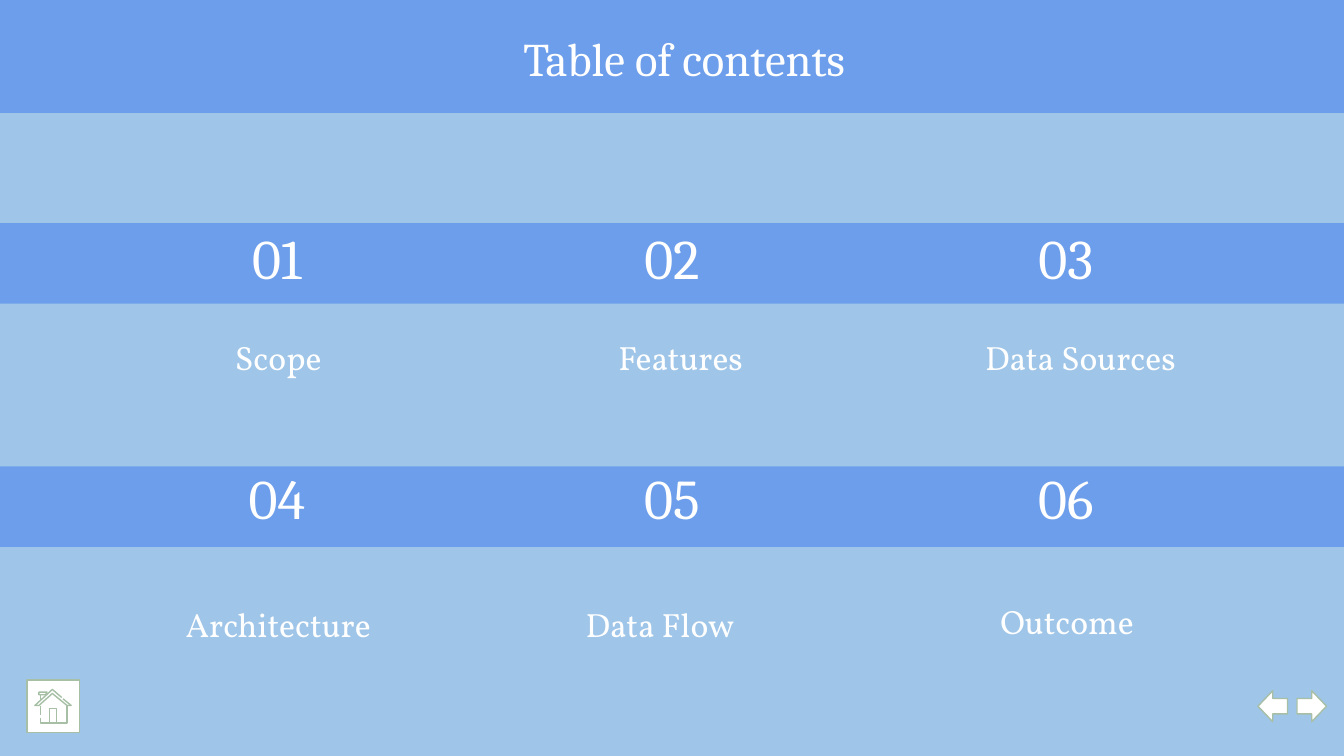
from dataclasses import dataclass

from pptx import Presentation
from pptx.dml.color import RGBColor
from pptx.enum.shapes import MSO_SHAPE
from pptx.enum.text import MSO_ANCHOR, MSO_AUTO_SIZE, PP_ALIGN
from pptx.shapes.autoshape import Shape
from pptx.slide import Slide
from pptx.util import Inches, Pt


@dataclass(frozen=True)
class Theme:
    background: RGBColor = RGBColor(0x9F, 0xC5, 0xE8)
    band: RGBColor = RGBColor(0x6D, 0x9E, 0xEB)
    white: RGBColor = RGBColor(0xFF, 0xFF, 0xFF)
    outline: RGBColor = RGBColor(0xA6, 0xBF, 0xA5)
    heading_font: str = "Cambria"
    body_font: str = "Vollkorn"
    title_size: float = 25
    number_size: float = 30
    topic_size: float = 18
    line_width: float = 0.75


@dataclass(frozen=True)
class Area:
    left: float
    top: float
    width: float
    height: float

    def lengths(self) -> tuple:
        return tuple(Inches(value) for value in (self.left, self.top, self.width, self.height))


@dataclass(frozen=True)
class Topic:
    name: str
    left: float
    top: float
    width: float = 2.56


@dataclass(frozen=True)
class Stroke:
    points: tuple
    closed: bool = False

    def lengths(self) -> list:
        return [(Inches(x), Inches(y)) for x, y in self.points]


THEME = Theme()
BANDS = (Area(0, 1.66, 10, 0.6), Area(0, 3.47, 10, 0.6), Area(-0.05, -0.06, 10.11, 0.9))
NUMBER_LEFTS = (1.49, 4.43, 7.36)
NUMBER_TOPS = (1.6, 3.39)
TOPICS = (
    Topic("Scope", 0.79, 2.4),
    Topic("Features", 3.63, 2.4, 2.87),
    Topic("Data Sources", 6.76, 2.4),
    Topic("Architecture", 0.79, 4.38),
    Topic("Data Flow", 3.63, 4.38),
    Topic("Outcome", 6.66, 4.36),
)
ARROWS = ((MSO_SHAPE.LEFT_ARROW, 9.36), (MSO_SHAPE.RIGHT_ARROW, 9.65))
HOUSE = (
    Stroke(((0.46, 5.19), (0.39, 5.13), (0.26, 5.25), (0.29, 5.25),
            (0.39, 5.16), (0.5, 5.25), (0.53, 5.25), (0.47, 5.2))),
    Stroke(((0.3, 5.21), (0.3, 5.17), (0.33, 5.17))),
    Stroke(((0.29, 5.15), (0.35, 5.15), (0.34, 5.17), (0.29, 5.17)), True),
    Stroke(((0.3, 5.25), (0.3, 5.32))),
    Stroke(((0.3, 5.34), (0.3, 5.38), (0.5, 5.38), (0.5, 5.25))),
    Stroke(((0.37, 5.38), (0.37, 5.27), (0.42, 5.27), (0.42, 5.38))),
)


def add_block(page: Slide, kind: MSO_SHAPE, area: Area, fill: RGBColor, outlined: bool) -> None:
    """Draw a filled preset shape with or without the theme outline."""
    block = page.shapes.add_shape(kind, *area.lengths())
    block.shadow.inherit = False
    block.fill.solid()
    block.fill.fore_color.rgb = fill
    if outlined:
        outline(block)
    else:
        block.line.fill.background()


def outline(shape: Shape) -> None:
    """Give a shape the theme outline."""
    shape.line.color.rgb = THEME.outline
    shape.line.width = Pt(THEME.line_width)


def write(box: Shape, text: str, font: str, size: float, anchor: MSO_ANCHOR) -> None:
    """Put one centred white line of text in a box."""
    frame = box.text_frame
    frame.text = text
    frame.word_wrap = True
    frame.auto_size = MSO_AUTO_SIZE.NONE
    frame.vertical_anchor = anchor
    frame.margin_left = frame.margin_right = Inches(0.1)
    frame.margin_top = frame.margin_bottom = Inches(0.1)
    para = frame.paragraphs[0]
    para.alignment = PP_ALIGN.CENTER
    span = para.runs[0]
    span.font.name = font
    span.font.size = Pt(size)
    span.font.color.rgb = THEME.white


def add_label(page: Slide, area: Area, text: str, font: str, size: float) -> None:
    """Add a bottom-anchored text box."""
    write(page.shapes.add_textbox(*area.lengths()), text, font, size, MSO_ANCHOR.BOTTOM)


def place_title(page: Slide, text: str, area: Area) -> None:
    """Move the title placeholder to the front and fill it."""
    title = page.shapes.title
    title.left, title.top, title.width, title.height = area.lengths()
    write(title, text, THEME.heading_font, THEME.title_size, MSO_ANCHOR.TOP)
    title.element.getparent().append(title.element)


def add_line_icon(page: Slide, strokes: tuple[Stroke, ...]) -> None:
    """Draw strokes as one unfilled freeform."""
    builder = page.shapes.build_freeform(*strokes[0].lengths()[0])
    for index, stroke in enumerate(strokes):
        start, *others = stroke.lengths()
        if index:
            builder.move_to(*start)
        builder.add_line_segments(others, close=stroke.closed)
    icon = builder.convert_to_shape()
    icon.shadow.inherit = False
    icon.fill.background()
    outline(icon)


def main() -> None:
    """Build and save the contents slide."""
    deck = Presentation()
    deck.slide_width = Inches(10)
    deck.slide_height = deck.slide_width * 9 // 16
    page = deck.slides.add_slide(deck.slide_layouts[5])
    page.background.fill.solid()
    page.background.fill.fore_color.rgb = THEME.background

    for band in BANDS:
        add_block(page, MSO_SHAPE.RECTANGLE, band, THEME.band, False)
    for index, topic in enumerate(TOPICS):
        row, column = divmod(index, len(NUMBER_LEFTS))
        number_area = Area(NUMBER_LEFTS[column], NUMBER_TOPS[row], 1.14, 0.66)
        add_label(page, number_area, f"{index + 1:02d}", THEME.heading_font, THEME.number_size)
        topic_area = Area(topic.left, topic.top, topic.width, 0.51)
        add_label(page, topic_area, topic.name, THEME.body_font, THEME.topic_size)
    place_title(page, "Table of contents", Area(0.87, 0.12, 8.44, 0.6))

    for kind, left in ARROWS:
        add_block(page, kind, Area(left, 5.14, 0.22, 0.23), THEME.white, True)
    add_block(page, MSO_SHAPE.RECTANGLE, Area(0.2, 5.06, 0.39, 0.39), THEME.white, True)
    add_line_icon(page, HOUSE)
    deck.save("out.pptx")


if __name__ == "__main__":
    main()
